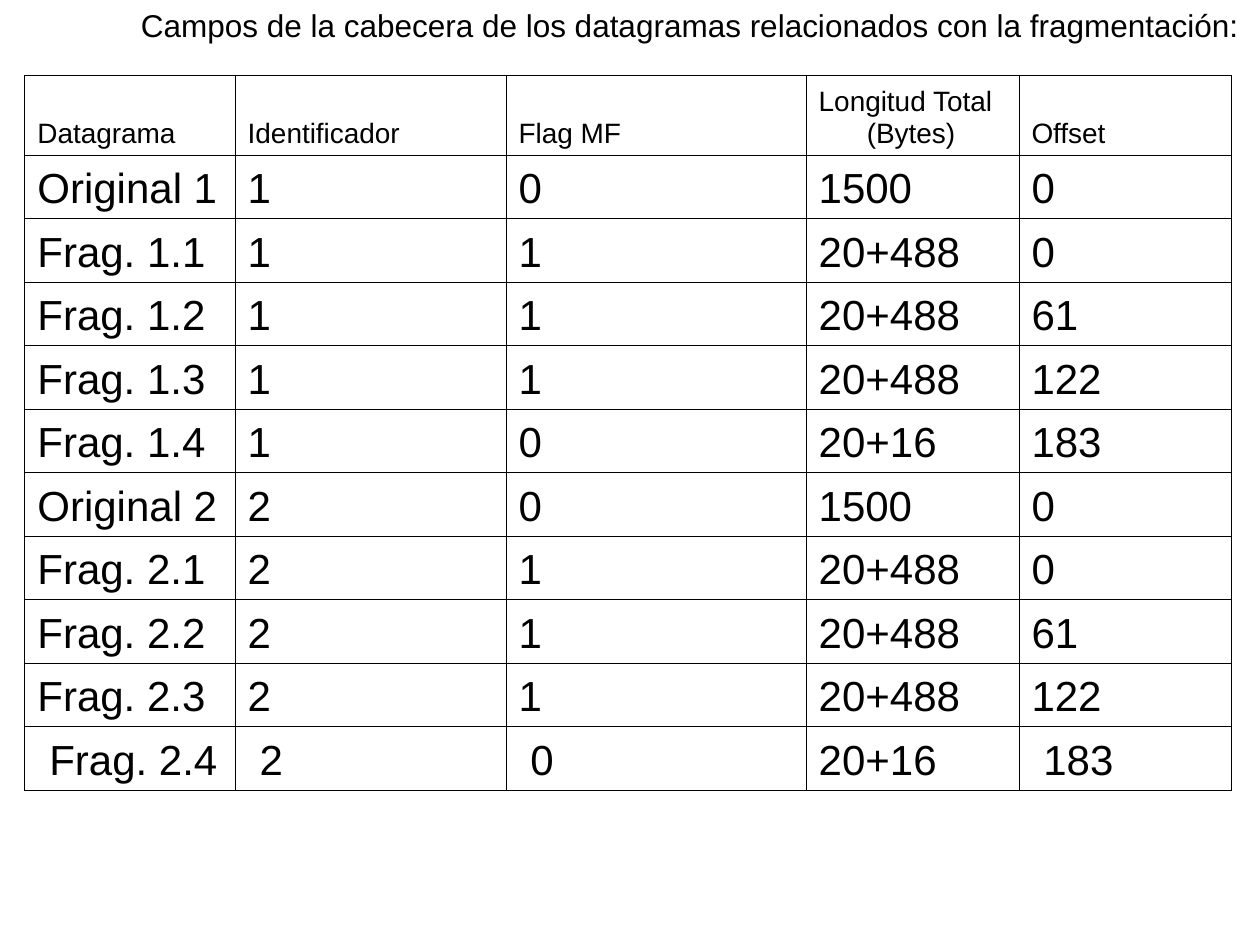
"""Build the slide listing the datagram header fields involved in fragmentation."""
from dataclasses import dataclass

from lxml.etree import SubElement
from pptx import Presentation
from pptx.dml.color import RGBColor
from pptx.enum.text import MSO_AUTO_SIZE as AutoSize, MSO_VERTICAL_ANCHOR as Anchor
from pptx.oxml.ns import qn
from pptx.util import Cm, Pt


@dataclass(frozen=True)
class Theme:
    font: str = "Arial"
    ink: str = "000000"
    title: int = 18
    header: int = 16
    body: int = 24
    border: float = 0.45


def apply_format(target, values):
    for name, value in values.items():
        setattr(target, name, value)


def write_text(paragraph, text, size):
    paragraph.text = text
    apply_format(paragraph.font, {"name": theme.font, "size": Pt(size)})
    paragraph.font.color.rgb = RGBColor.from_string(theme.ink)


theme = Theme()
headers = ["Datagrama", "Identificador", "Flag MF", "Longitud Total (Bytes)", "Offset"]
fragments = [
    ("Original {}", "0", "1500", "0"),
    ("Frag. {}.1", "1", "20+488", "0"),
    ("Frag. {}.2", "1", "20+488", "61"),
    ("Frag. {}.3", "1", "20+488", "122"),
    ("Frag. {}.4", "0", "20+16", "183"),
]
rows = [headers] + [
    [label.format(identifier), str(identifier), flag, length, offset]
    for identifier in (1, 2)
    for label, flag, length, offset in fragments
]
column_widths = [4.24, 5.46, 6.05, 4.29, 4.29]
row_heights = [1.61] + [1.28] * (len(rows) - 1)
hanging = Cm(0.97)
last_row_shift = Cm(0.24)
length_column = headers.index("Longitud Total (Bytes)")

presentation = Presentation()
apply_format(presentation, {"slide_width": Cm(25.4), "slide_height": Cm(19.05)})
slide = presentation.slides.add_slide(presentation.slide_layouts[6])

table = slide.shapes.add_table(
    len(rows), len(headers), Cm(0.5), Cm(1.52),
    Cm(sum(column_widths)), Cm(sum(row_heights)),
).table
apply_format(table, {"first_row": False, "horz_banding": False})
for column, width in zip(table.columns, column_widths):
    column.width = Cm(width)

for row_index, (values, height) in enumerate(zip(rows, row_heights)):
    table.rows[row_index].height = Cm(height)
    size = theme.body if row_index else theme.header
    for column_index, text in enumerate(values):
        cell = table.cell(row_index, column_index)
        cell.vertical_anchor = Anchor.BOTTOM
        paragraph = cell.text_frame.paragraphs[0]
        shifted = row_index == len(rows) - 1 and column_index != length_column
        indent = last_row_shift - hanging if shifted else -hanging
        properties = paragraph._p.get_or_add_pPr()
        properties.set("marL", str(hanging))
        properties.set("indent", str(indent))
        write_text(paragraph, text, size)
        cell_properties = cell._tc.get_or_add_tcPr()
        for side in ("lnL", "lnR", "lnT", "lnB"):
            line = SubElement(cell_properties, qn(f"a:{side}"), w=str(Pt(theme.border)))
            fill = SubElement(line, qn("a:solidFill"))
            SubElement(fill, qn("a:srgbClr"), val=theme.ink)
        cell.fill.background()

title = slide.shapes.add_textbox(Cm(2.59), Cm(0), Cm(22.81), Cm(1.02))
apply_format(title.text_frame, {"word_wrap": False, "auto_size": AutoSize.SHAPE_TO_FIT_TEXT})
write_text(
    title.text_frame.paragraphs[0],
    "Campos de la cabecera de los datagramas relacionados con la fragmentación:",
    theme.title,
)

presentation.save("out.pptx")
